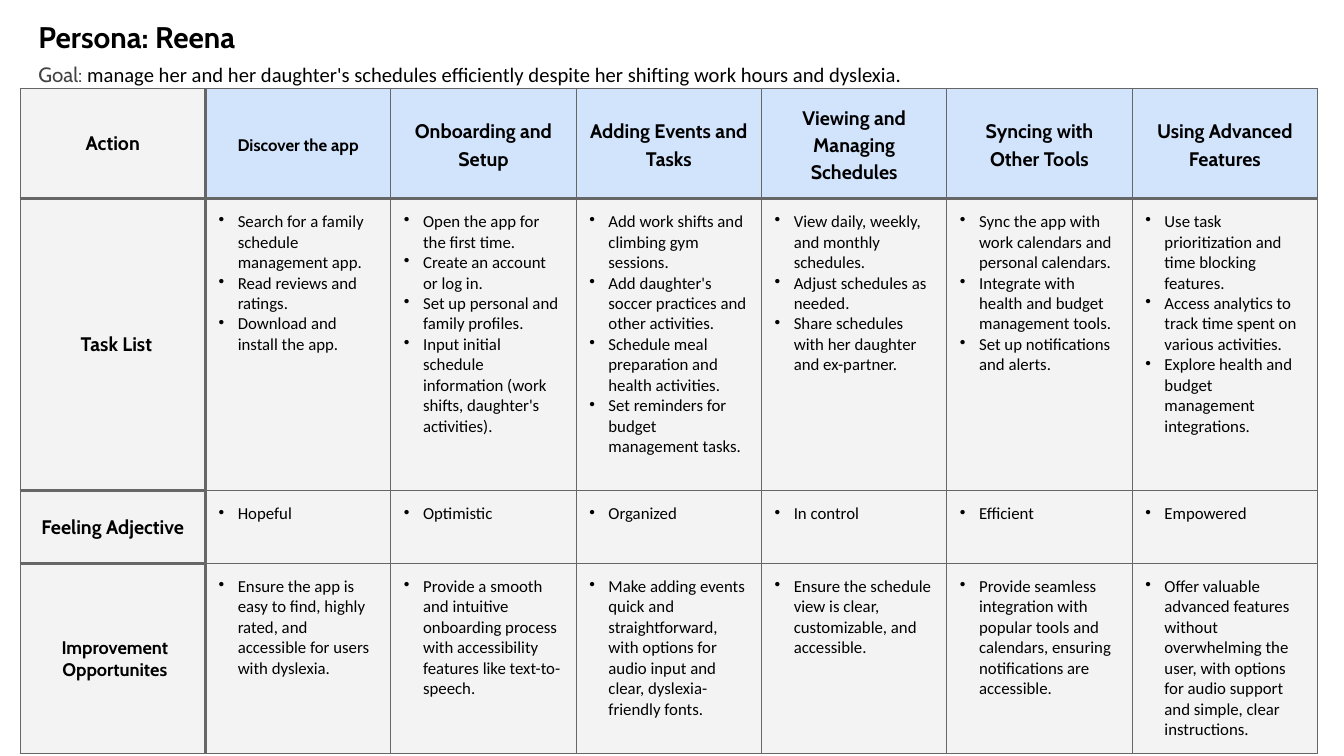
from dataclasses import dataclass

from lxml.etree import SubElement
from pptx import Presentation
from pptx.dml.color import RGBColor
from pptx.enum.text import MSO_ANCHOR, MSO_AUTO_SIZE, PP_ALIGN
from pptx.oxml.ns import qn
from pptx.util import Inches, Pt


@dataclass(frozen=True)
class Theme:
    head: str = "Cabin"
    body: str = "Calibri"
    ink: str = "000000"
    muted: str = "434343"
    line: str = "666666"
    pale: str = "F3F3F3"
    blue: str = "D2E3FC"
    title: float = 21.3
    goal: float = 14.7
    label: float = 14
    small: float = 13
    text: float = 12
    thin: float = 0.75
    thick: float = 2.25


THEME = Theme()
PAD = 0.13
COL = 12.87 / 7
ROWS = (1.09, 2.9, 0.72, 1.89)

STAGES = ["Discover the app", "Onboarding and Setup", "Adding Events and Tasks",
          "Viewing and Managing Schedules", "Syncing with Other Tools",
          "Using Advanced Features"]
TASKS = [
    ["Search for a family schedule management app.",
     "Read reviews and ratings.",
     "Download and install the app."],
    ["Open the app for the first time.",
     "Create an account or log in.",
     "Set up personal and family profiles.",
     "Input initial schedule information (work shifts, daughter's activities)."],
    ["Add work shifts and climbing gym sessions.",
     "Add daughter's soccer practices and other activities.",
     "Schedule meal preparation and health activities.",
     "Set reminders for budget management tasks."],
    ["View daily, weekly, and monthly schedules.",
     "Adjust schedules as needed.",
     "Share schedules with her daughter and ex-partner."],
    ["Sync the app with work calendars and personal calendars.",
     "Integrate with health and budget management tools.",
     "Set up notifications and alerts."],
    ["Use task prioritization and time blocking features.",
     "Access analytics to track time spent on various activities.",
     "Explore health and budget management integrations."],
]
MOODS = [["Hopeful"], ["Optimistic"], ["Organized"], ["In control"], ["Efficient"],
         ["Empowered"]]
IDEAS = [
    ["Ensure the app is easy to find, highly rated, and accessible for users with dyslexia."],
    ["Provide a smooth and intuitive onboarding process with accessibility features like "
     "text-to-speech."],
    ["Make adding events quick and straightforward, with options for audio input and clear, "
     "dyslexia-friendly fonts."],
    ["Ensure the schedule view is clear, customizable, and accessible."],
    ["Provide seamless integration with popular tools and calendars, ensuring notifications "
     "are accessible."],
    ["Offer valuable advanced features without overwhelming the user, with options for audio "
     "support and simple, clear instructions."],
]
# Row label lines, their format, and the row's bullet lists
BODY = [
    (["Task List"], {"left": 0.19, "hang": -0.12}, TASKS),
    (["Feeling Adjective"], {}, MOODS),
    (["Improvement", "Opportunites"], {"size": THEME.small}, IDEAS),
]


def write(para, text, size=THEME.text, font=THEME.body, color=THEME.ink, bold=False,
          align=PP_ALIGN.LEFT, space=1.0, left=0, hang=0, bullet=None):
    """Add one run of text to a paragraph and format both."""
    para.alignment = align
    para.line_spacing = space
    para.space_before = Pt(0)
    if left:
        props = para._p.get_or_add_pPr()
        props.set("marL", str(Inches(left)))
        props.set("indent", str(Inches(hang)))
        if bullet:
            SubElement(props, qn("a:buChar")).set("char", bullet)
    run = para.add_run()
    run.text = text
    run.font.size = Pt(size)
    run.font.name = font
    run.font.bold = bold
    run.font.color.rgb = RGBColor.from_string(color)


def fill_lines(frame, lines, **form):
    for n, line in enumerate(lines):
        para = frame.add_paragraph() if n else frame.paragraphs[0]
        write(para, line, **form)


def place(holder, left, top, width, height):
    """Move a placeholder and return its first paragraph."""
    holder.left, holder.top = Inches(left), Inches(top)
    holder.width, holder.height = Inches(width), Inches(height)
    frame = holder.text_frame
    frame.word_wrap = True
    frame.auto_size = MSO_AUTO_SIZE.NONE
    frame.vertical_anchor = MSO_ANCHOR.TOP
    frame.margin_left = frame.margin_right = Inches(PAD)
    frame.margin_top = frame.margin_bottom = Inches(PAD)
    return frame.paragraphs[0]


def edge(cell, side, width):
    line = SubElement(cell._tc.get_or_add_tcPr(), qn("a:ln" + side))
    line.set("w", str(Pt(width)))
    paint = SubElement(line, qn("a:solidFill"))
    SubElement(paint, qn("a:srgbClr")).set("val", THEME.line)


def style(cell, row, col):
    """Set borders, fill and margins by the cell's place in the grid."""
    heavy = {
        "L": col == 1,
        "R": col == 0,
        "T": row == 1 or (col == 0 and row > 0),
        "B": row == 0 or (col == 0 and row < len(ROWS) - 1),
    }
    for side, strong in heavy.items():
        edge(cell, side, THEME.thick if strong else THEME.thin)
    cell.fill.solid()
    shade = THEME.blue if row == 0 and col else THEME.pale
    cell.fill.fore_color.rgb = RGBColor.from_string(shade)
    cell.margin_left = cell.margin_right = Inches(PAD)
    cell.margin_top = cell.margin_bottom = Inches(PAD)
    middle = row == 0 or col == 0
    cell.vertical_anchor = MSO_ANCHOR.MIDDLE if middle else MSO_ANCHOR.TOP


def add_grid(slide):
    count = len(STAGES) + 1
    table = slide.shapes.add_table(len(ROWS), count, Inches(0.2), Inches(0.88),
                                   Inches(COL * count), Inches(sum(ROWS))).table
    table.first_row = table.horz_banding = False
    for col in table.columns:
        col.width = Inches(COL)
    for r, high in enumerate(ROWS):
        table.rows[r].height = Inches(high)
        for c in range(count):
            style(table.cell(r, c), r, c)

    # Header row
    label = {"size": THEME.label, "font": THEME.head, "bold": True,
             "align": PP_ALIGN.CENTER}
    fill_lines(table.cell(0, 0).text_frame, ["Action"], **label)
    for c, stage in enumerate(STAGES, 1):
        size = THEME.text if c == 1 else THEME.label
        fill_lines(table.cell(0, c).text_frame, [stage],
                   **{**label, "size": size, "space": 1.15})

    # Labels and bullet lists
    for r, (name, form, lists) in enumerate(BODY, 1):
        fill_lines(table.cell(r, 0).text_frame, name, **{**label, **form})
        for c, lines in enumerate(lists, 1):
            fill_lines(table.cell(r, c).text_frame, lines,
                       left=0.19, hang=-0.19, bullet="•")
    table.cell(len(ROWS) - 1, 0).margin_left = Inches(0.17)


def main():
    deck = Presentation()
    deck.slide_width, deck.slide_height = Inches(13.33), Inches(7.5)
    slide = deck.slides.add_slide(deck.slide_layouts[0])

    # Title and goal
    title = place(slide.shapes.title, 0.25, 0.06, 2.6, 0.59)
    write(title, "Persona: Reena", size=THEME.title, font=THEME.head, bold=True)
    goal = place(slide.placeholders[1], 0.25, 0.48, 12.38, 0.39)
    write(goal, "Goal: ", size=THEME.goal, font=THEME.head, color=THEME.muted)
    write(goal, "manage her and her daughter's schedules efficiently despite her "
          "shifting work hours and dyslexia.", size=THEME.goal)

    # Journey table
    add_grid(slide)
    deck.save("out.pptx")


if __name__ == "__main__":
    main()
